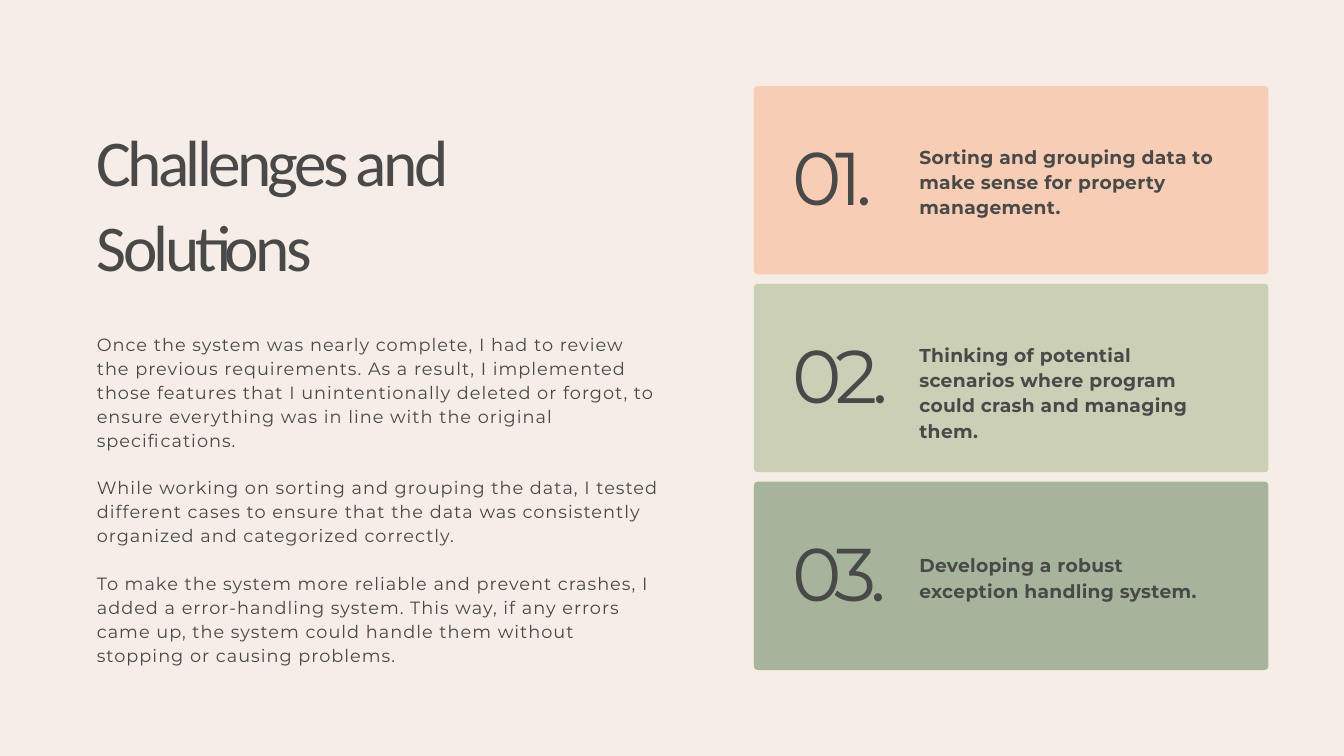
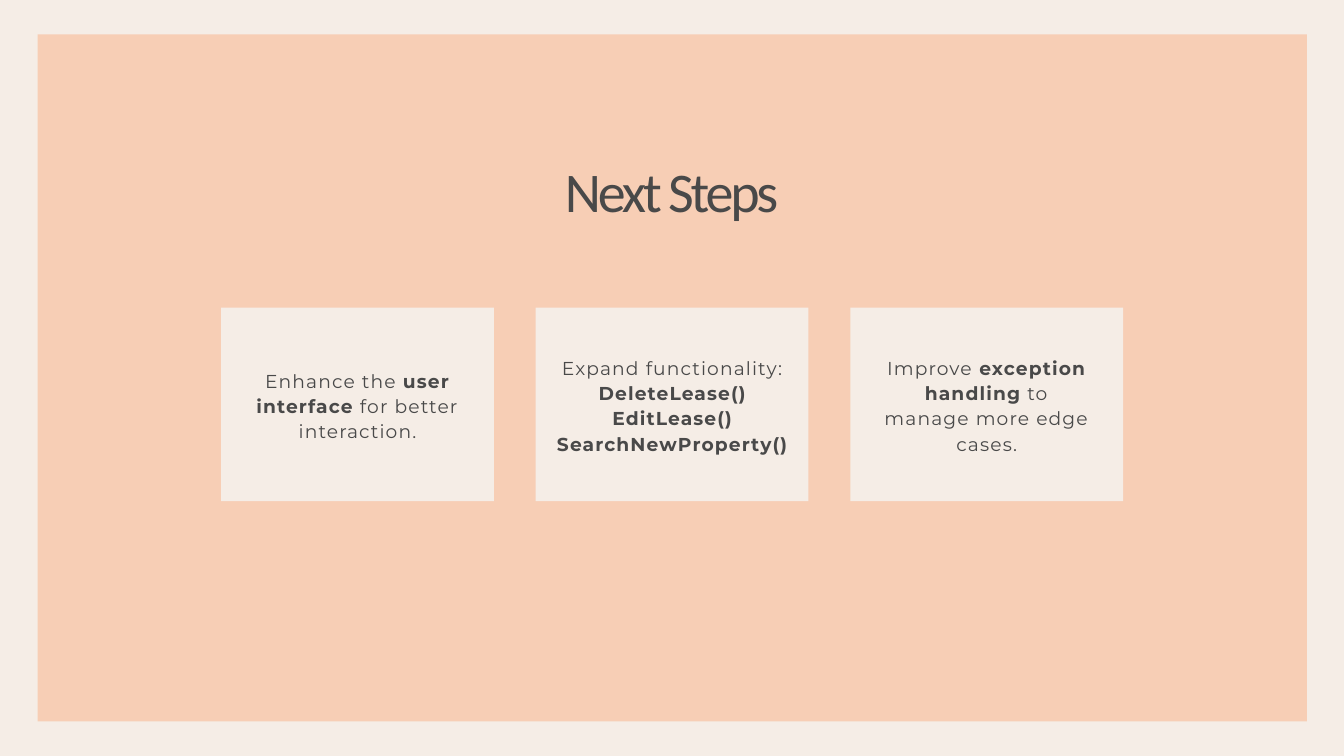
from dataclasses import dataclass

from lxml.etree import SubElement
from pptx import Presentation
from pptx.dml.color import RGBColor as Rgb
from pptx.enum.shapes import MSO_SHAPE as Preset
from pptx.enum.text import MSO_ANCHOR as Anchor, MSO_AUTO_SIZE as AutoSize, PP_ALIGN as Align
from pptx.oxml.ns import qn
from pptx.util import Cm, Pt


@dataclass(frozen=True)
class TextStyle:
    font: str
    size: float
    leading: float
    tracking: float
    bold: bool = False


class Theme:
    cream = Rgb.from_string("F5EDE6")
    peach = Rgb.from_string("F7CEB5")
    light_sage = Rgb.from_string("CBCFB5")
    sage = Rgb.from_string("A6B49C")
    ink = Rgb.from_string("494949")

    title = TextStyle("Calibri", 70, 90.3, -4)
    centred_title = TextStyle("Calibri", 60, 77.4, -3.4)
    body = TextStyle("Montserrat", 19, 25.6, 1.1)
    number = TextStyle("Montserrat", 80, 76.8, -6.6)
    challenge = TextStyle("Montserrat", 20, 27, 0.3, bold=True)
    step = TextStyle("Montserrat", 20, 27, 1.2)


REVIEW = [
    "Once the system was nearly complete, I had to review the previous requirements. "
    "As a result, I implemented those features that I unintentionally deleted or forgot, "
    "to ensure everything was in line with the original specifications.",
    "While working on sorting and grouping the data, I tested different cases to ensure "
    "that the data was consistently organized and categorized correctly.",
    "To make the system more reliable and prevent crashes, I added a error-handling system. "
    "This way, if any errors came up, the system could handle them without stopping or "
    "causing problems.",
]

# Panel colour, distance from panel top to text, challenge
CHALLENGES = [
    (Theme.peach, 2.16, "Sorting and grouping data to make sense for property management."),
    (Theme.light_sage, 2.16,
     "Thinking of potential scenarios where program could crash and managing them."),
    (Theme.sage, 2.64, "Developing a robust exception handling system."),
]

# Side margin, then paragraphs made of (text, bold) parts
NEXT_STEPS = [
    (1.19, [[("Enhance the ", False), ("user interface", True),
             (" for better interaction.", False)]]),
    (0.7, [[("Expand functionality:", False)], [("DeleteLease()", True)],
           [("EditLease()", True)], [("SearchNewProperty()", True)]]),
    (1.19, [[("Improve", False), (" exception handling", True),
             (" to manage more edge cases.", False)]]),
]


def place(shape, left, top, width, height):
    shape.left, shape.top = Cm(left), Cm(top)
    shape.width, shape.height = Cm(width), Cm(height)


def write(shape, paragraphs, style, align=Align.LEFT, anchor=Anchor.TOP, margin=0, gap=0):
    """Fill a shape with paragraphs, each a string or a list of (text, bold) parts."""
    frame = shape.text_frame
    frame.word_wrap = True
    frame.auto_size = AutoSize.NONE
    frame.vertical_anchor = anchor
    frame.margin_left = frame.margin_right = Cm(margin)
    frame.margin_top = frame.margin_bottom = 0
    for index, content in enumerate(paragraphs):
        paragraph = frame.paragraphs[0] if index == 0 else frame.add_paragraph()
        paragraph.alignment = align
        paragraph.line_spacing = Pt(style.leading)
        paragraph.space_before = Pt(gap if index else 0)
        if shape.is_placeholder:
            remove_bullet(paragraph)
        font = paragraph.font
        font.name, font.size, font.bold = style.font, Pt(style.size), style.bold
        font.color.rgb = Theme.ink
        parts = [(content, None)] if isinstance(content, str) else content
        for text, bold in parts:
            run = paragraph.add_run()
            run.text = text
            run.font.bold = bold
            run.font._element.set("spc", str(round(style.tracking * 100)))


def remove_bullet(paragraph):
    properties = paragraph._p.get_or_add_pPr()
    properties.set("marL", "0")
    properties.set("indent", "0")
    SubElement(properties, qn("a:buNone"))


def add_text(slide, box, text, style):
    write(slide.shapes.add_textbox(*map(Cm, box)), [text], style)


def add_block(slide, box, colour, preset=Preset.RECTANGLE):
    block = slide.shapes.add_shape(preset, *map(Cm, box))
    block.shadow.inherit = False
    block.fill.solid()
    block.fill.fore_color.rgb = colour
    block.line.fill.background()
    return block


def add_challenge(slide, number, top, colour, text_offset, challenge):
    height = 7.12
    panel = add_block(slide, (28.5, top, 19.44, height), colour, Preset.ROUNDED_RECTANGLE)
    panel.adjustments[0] = 0.14 / height
    add_text(slide, (29.95, top + 2.39, 4.39, 2.84), f"{number:02}.", Theme.number)
    add_text(slide, (34.75, top + text_offset, 11.48, 2.72), challenge, Theme.challenge)


def build_challenges(prs):
    slide = prs.slides.add_slide(prs.slide_layouts[1])
    title, review = slide.placeholders
    place(title, 3.66, 4.37, 21.41, 6.48)
    write(title, ["Challenges and Solutions"], Theme.title)
    place(review, 3.66, 12.52, 21.41, 12.57)
    write(review, REVIEW, Theme.body, gap=Theme.body.leading)
    for index, challenge in enumerate(CHALLENGES):
        add_challenge(slide, index + 1, 3.25 + 7.48 * index, *challenge)


def build_next_steps(prs):
    slide = prs.slides.add_slide(prs.slide_layouts[5])
    backdrop = add_block(slide, (1.42, 1.3, 47.98, 25.97), Theme.peach)
    title = slide.shapes.title
    title._element.addprevious(backdrop._element)
    place(title, 6.55, 5.74, 37.67, 2.84)
    write(title, ["Next Steps"], Theme.centred_title, Align.CENTER)
    for index, (margin, step) in enumerate(NEXT_STEPS):
        card = add_block(slide, (8.36 + 11.89 * index, 11.63, 10.31, 7.32), Theme.cream)
        write(card, step, Theme.step, Align.CENTER, Anchor.MIDDLE, margin)


def main():
    prs = Presentation()
    prs.slide_width, prs.slide_height = Cm(50.8), Cm(28.58)
    background = prs.slide_master.background.fill
    background.solid()
    background.fore_color.rgb = Theme.cream
    build_challenges(prs)
    build_next_steps(prs)
    prs.save("out.pptx")


if __name__ == "__main__":
    main()
